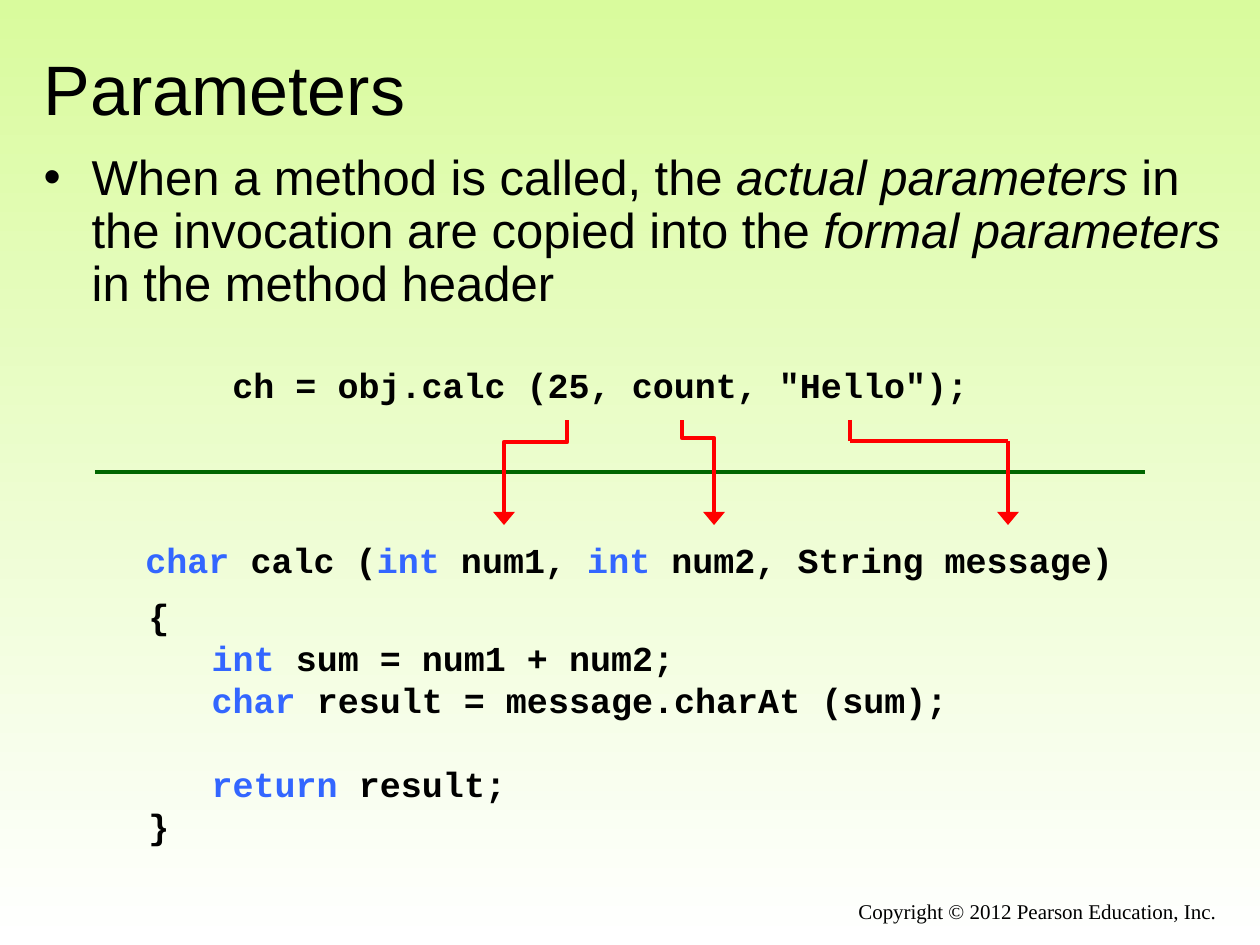
from lxml.etree import SubElement
from pptx import Presentation
from pptx.dml.color import RGBColor
from pptx.enum.shapes import MSO_CONNECTOR
from pptx.enum.text import MSO_ANCHOR, MSO_AUTO_SIZE, PP_ALIGN
from pptx.oxml.ns import qn
from pptx.util import Pt

SCALE = 914400 / 126
BLACK, BLUE, RED, GREEN = "000000", "3366FF", "FF0000", "006600"


def px(n):
    return round(n * SCALE)


def tint(color, value):
    color.rgb = RGBColor.from_string(value)


def place(shape, box):
    shape.left, shape.top, shape.width, shape.height = map(px, box)


def write(para, text, size, face, bold=False, accent=BLACK, slant=False):
    """Fill a paragraph; pieces between bars take the accent colour or slant."""
    for i, piece in enumerate(text.split("|")):
        if not piece:
            continue
        run = para.add_run()
        run.text = piece
        font = run.font
        font.name, font.size, font.bold = face, Pt(size), bold
        font.italic = slant and i % 2 == 1
        tint(font.color, accent if i % 2 else BLACK)


def paint(slide):
    """Fill the background from green at the top to white."""
    fill = slide.background.fill
    fill.gradient()
    fill.gradient_angle = 270
    for stop, share, value in zip(fill.gradient_stops, (0, 1), ("D9FB9D", "FFFFFF")):
        stop.position = share
        tint(stop.color, value)


def title(slide, box, text):
    shape = slide.shapes.title
    place(shape, box)
    frame = shape.text_frame
    frame.auto_size = MSO_AUTO_SIZE.NONE
    frame.vertical_anchor = MSO_ANCHOR.MIDDLE
    para = frame.paragraphs[0]
    para.alignment = PP_ALIGN.LEFT
    write(para, text, 40, "Arial")


def body(slide, box, text):
    shape = slide.placeholders[1]
    place(shape, box)
    frame = shape.text_frame
    frame.auto_size = MSO_AUTO_SIZE.NONE
    para = frame.paragraphs[0]
    para.line_spacing = 0.9
    para.space_before = Pt(0)
    props = para._p.get_or_add_pPr()
    props.set("marL", str(px(48)))
    props.set("indent", str(-px(48)))
    SubElement(props, qn("a:buFont")).set("typeface", "Arial")
    SubElement(props, qn("a:buChar")).set("char", "•")
    write(para, text, 28, "Arial", slant=True)


def code(slide, box, lines):
    frame = slide.shapes.add_textbox(*map(px, box)).text_frame
    frame.word_wrap = False
    frame.auto_size = MSO_AUTO_SIZE.SHAPE_TO_FIT_TEXT
    for i, line in enumerate(lines):
        para = frame.add_paragraph() if i else frame.paragraphs[0]
        para.font.size = Pt(20)
        write(para, line, 20, "Courier New", bold=True, accent=BLUE)


def link(slide, kind, start, end, color, head=False):
    line = slide.shapes.add_connector(kind, *map(px, start + end))
    line.line.width = Pt(2.5)
    tint(line.line.color, color)
    if head:
        tip = SubElement(line.line._get_or_add_ln(), qn("a:tailEnd"))
        for key, value in (("type", "triangle"), ("w", "lg"), ("len", "med")):
            tip.set(key, value)
    SubElement(line._element.spPr, qn("a:effectLst"))
    return line


def elbow(slide, box, bend):
    """Arrow going down, across by the signed width of the box, and down."""
    x, y, across, drop = box
    mid_x, mid_y = x + across / 2, y + drop / 2
    # The connector lies on its side here and is then turned upright.
    start = (mid_x - drop / 2, mid_y + across / 2)
    end = (mid_x + drop / 2, mid_y - across / 2)
    if across > 0:
        start, end = end, start
    line = link(slide, MSO_CONNECTOR.ELBOW, start, end, RED, head=True)
    props = line._element.spPr
    props.find(qn("a:xfrm")).set("rot", str((270 if across > 0 else 90) * 60000))
    guide = SubElement(props.find(qn("a:prstGeom")).find(qn("a:avLst")), qn("a:gd"))
    guide.set("name", "adj1")
    guide.set("fmla", f"val {round(bend / drop * 100000)}")


def steps(slide, box, bend):
    """The same route as an elbow, in three straight parts."""
    x, y, across, drop = box
    spots = [(x, y), (x, y + bend), (x + across, y + bend), (x + across, y + drop)]
    for i, (start, end) in enumerate(zip(spots, spots[1:])):
        link(slide, MSO_CONNECTOR.STRAIGHT, start, end, RED, head=i == 2)


def diagram(slide, box):
    """Call above the rule, method below it, arrows between."""
    x, y, width, _ = box
    code(slide, (x + 38, y + 175, 993, 55), ["|char |calc (|int |num1, |int |num2, String message)"])
    code(slide, (x + 41, y + 231, 828, 265), [
        "{",
        "   |int |sum = num1 + num2;",
        "   |char |result = message.charAt (sum);",
        "",
        "   |return |result;",
        "}",
    ])
    code(slide, (x + 125, y, 765, 55), ['ch = obj.calc (25, count, "Hello");'])
    link(slide, MSO_CONNECTOR.STRAIGHT, (x, y + 115), (x + width, y + 115), GREEN)
    elbow(slide, (x + 472, y + 63, -63, 105), 22)
    elbow(slide, (x + 587, y + 63, 32, 105), 18)
    steps(slide, (x + 755, y + 63, 158, 105), 21)


def footer(slide, box, text):
    frame = slide.shapes.add_textbox(*map(px, box)).text_frame
    frame.word_wrap = True
    para = frame.paragraphs[0]
    para.alignment = PP_ALIGN.RIGHT
    write(para, text, 12, "Times New Roman")


def main():
    deck = Presentation()
    deck.slide_width, deck.slide_height = px(1260), px(945)
    slide = deck.slides.add_slide(deck.slide_layouts[1])
    paint(slide)
    title(slide, (31, 39, 1197, 98), "Parameters")
    body(slide, (31, 147, 1207, 189),
         "When a method is called, the |actual parameters| in the invocation "
         "are copied into the |formal parameters| in the method header")
    diagram(slide, (95, 357, 1050, 496))
    footer(slide, (462, 892, 767, 43), "Copyright © 2012 Pearson Education, Inc.")
    deck.save("out.pptx")


if __name__ == "__main__":
    main()
